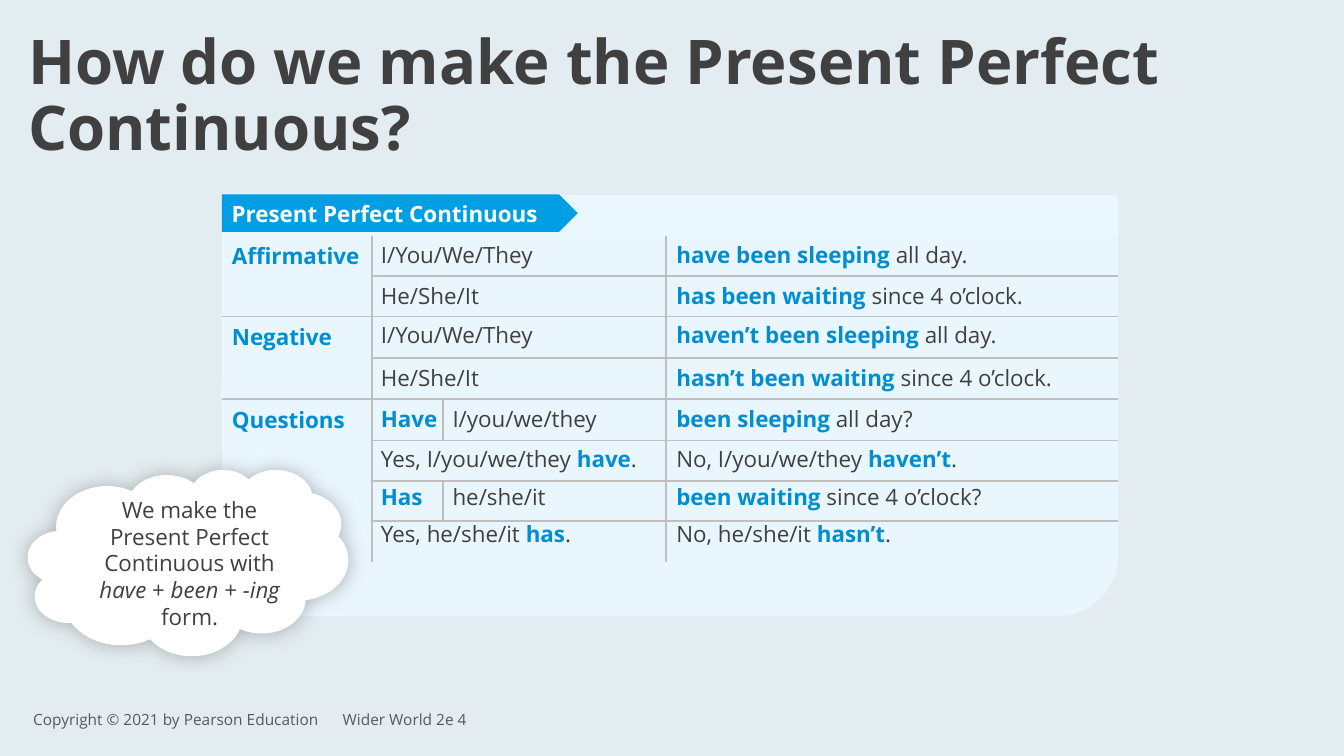
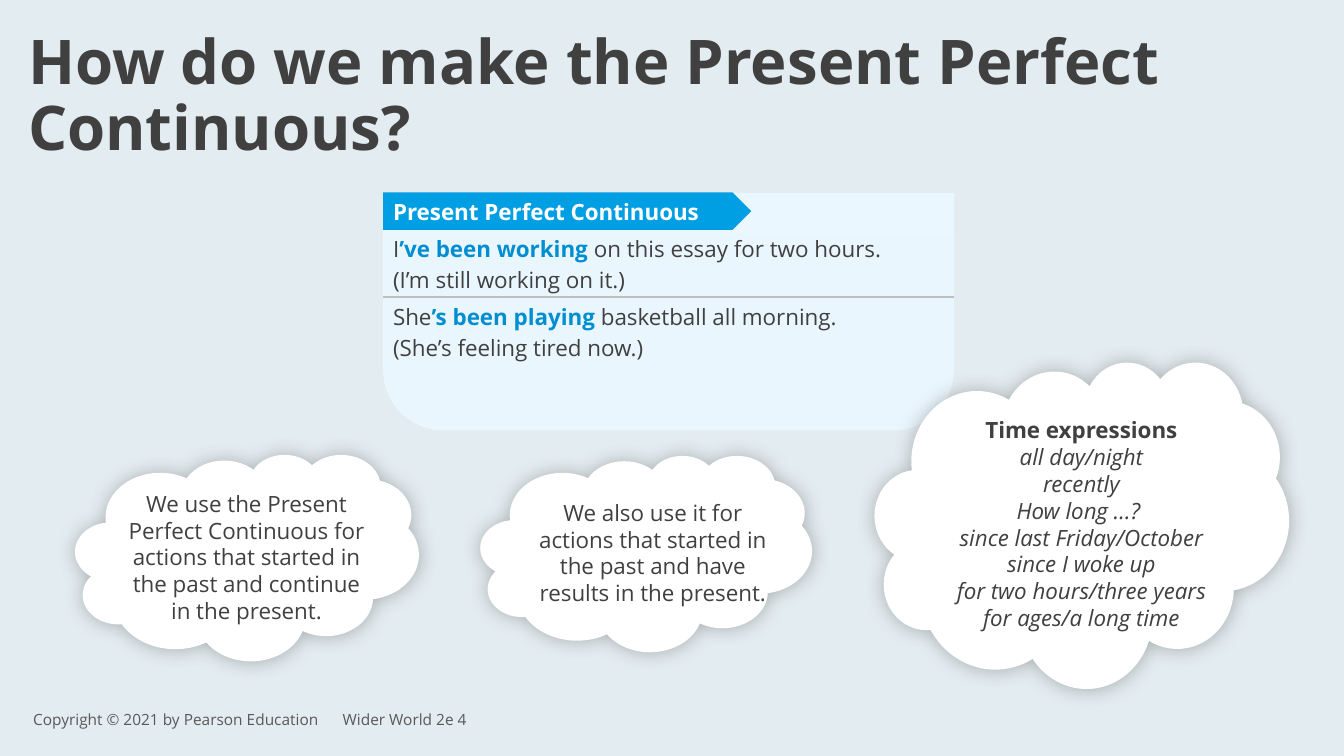
"""Two grammar slides on the Present Perfect Continuous."""
from lxml import etree
from pptx import Presentation
from pptx.dml.color import RGBColor
from pptx.enum import shapes, text
from pptx.oxml import ns
from pptx.util import Inches, Pt

FONT = "Open Sans"
BACK = RGBColor(0xE3, 0xEC, 0xF0)
PANEL = RGBColor(0xEA, 0xF6, 0xFE)
PANEL_TOP = RGBColor(0xEB, 0xF7, 0xFF)
BANNER = RGBColor(0x00, 0x9E, 0xE3)
BLUE = RGBColor(0x00, 0x8E, 0xD1)
DARK = RGBColor(0x40, 0x40, 0x40)
GREY = RGBColor(0x59, 0x59, 0x59)
RULE = RGBColor(0xBF, 0xBF, 0xBF)
WHITE = RGBColor(0xFF, 0xFF, 0xFF)

KEY = {"color": BLUE, "bold": True}
BOLD = {"bold": True}
ITALIC = {"italic": True}

TITLE = "How do we make the Present Perfect Continuous?"
TENSE = "Present Perfect Continuous"
FOOTER = "Copyright © 2021 by Pearson Education\tWider World 2e 4"

FORMS = [
    ("Affirmative", "I/You/We/They", None, [("have been sleeping ", KEY), "all day."]),
    (None, "He/She/It", None, [("has been waiting ", KEY), "since 4 o’clock."]),
    ("Negative", "I/You/We/They", None, [("haven’t been sleeping ", KEY), "all day."]),
    (None, "He/She/It", None, [("hasn’t been waiting ", KEY), "since 4 o’clock."]),
    ("Questions", [("Have", KEY)], "I/you/we/they", [("been sleeping ", KEY), "all day?"]),
    (None, ["Yes, I/you/we/they ", ("have", KEY), "."], None,
     ["No, I/you/we/they ", ("haven’t", KEY), "."]),
    (None, [("Has", KEY)], "he/she/it", [("been waiting ", KEY), "since 4 o’clock?"]),
    (None, ["Yes, he/she/it ", ("has", KEY), "."], None,
     ["No, he/she/it ", ("hasn’t", KEY), "."]),
]
FORM_COLS = [1.49, 0.7, 2.22, 4.48]
FORM_ROWS = [0.41, 0.4, 0.4, 0.41, 0.41, 0.41, 0.4, 0.4, 0.4]
FORM_TOPS = [2.34, 2.75, 3.14, 3.56, 3.97, 4.37, 4.74, 5.11]
FORM_LEFTS = [3.68, 4.39, 6.61]

USES = [
    (2.28, ["I", ("’ve been working ", KEY), "on this essay for two hours."]),
    (2.59, "(I’m still working on it.)"),
    (2.96, ["She", ("’s been playing ", KEY), "basketball all morning."]),
    (3.27, "(She’s feeling tired now.)"),
]
USE_ROWS = [0.41, 0.63, 0.63]

FORM_CLOUD = ((0.29, 4.67, 3.15, 1.82), (0.79, 4.87, 2.18, 1.45), [
    ["We make the Present Perfect Continuous with ", ("have ", ITALIC), "+ ",
     ("been ", ITALIC), "+ ", ("-ing ", ITALIC), "form."]])
TIMES = ["all day/night", "recently", "How long …? ", "since last Friday/October",
         "since I woke up", "for two hours/three years", "for ages/a long time"]
USE_CLOUDS = [
    ((8.69, 3.6, 4.08, 3.21), (8.82, 4.08, 3.81, 2.26),
     [[("Time expressions", BOLD)]] + [[(t, ITALIC)] for t in TIMES]),
    ((0.76, 4.52, 3.38, 2.02), (1.1, 4.81, 2.69, 1.45),
     ["We use the Present Perfect Continuous for actions that started in the past "
      "and continue in the present."]),
    ((4.78, 4.53, 3.26, 1.92), (5.13, 4.9, 2.69, 1.18),
     ["We also use it for actions that started in the past and have results in the present."]),
]


def write(tf, paras, size=16, color=DARK, bold=False, align=None, spacing=None, tab=None):
    """Fill a text frame; a paragraph is a string or a list of strings and (text, style)."""
    for i, para in enumerate(paras):
        p = tf.add_paragraph() if i else tf.paragraphs[0]
        if align is not None:
            p.alignment = align
        if spacing:
            p.line_spacing = spacing
        if tab:
            tabs = etree.SubElement(p._p.get_or_add_pPr(), ns.qn("a:tabLst"))
            etree.SubElement(tabs, ns.qn("a:tab"), pos=str(Inches(tab)), algn="l")
        for part in [para] if isinstance(para, str) else para:
            words, style = (part, {}) if isinstance(part, str) else part
            r = p.add_run()
            r.text = words
            r.font.name, r.font.size = FONT, Pt(size)
            r.font.color.rgb = style.get("color", color)
            r.font.bold = style.get("bold", bold)
            r.font.italic = style.get("italic", False)


def add_text(slide, box, paras, anchor=text.MSO_ANCHOR.TOP, **style):
    """Add a wrapping text box."""
    tf = slide.shapes.add_textbox(*map(Inches, box)).text_frame
    tf.word_wrap = True
    tf.vertical_anchor = anchor
    write(tf, paras, **style)


def add_shape(slide, kind, box, fill):
    """Add a flat preset shape without outline."""
    sp = slide.shapes.add_shape(kind, *map(Inches, box))
    sp.shadow.inherit = False
    sp.fill.solid()
    sp.fill.fore_color.rgb = fill
    sp.line.fill.background()
    return sp


def add_panel(slide, box):
    """Add a rounded panel that lies behind a table."""
    sp = add_shape(slide, shapes.MSO_SHAPE.ROUNDED_RECTANGLE, box, PANEL)
    sp.adjustments[0] = 0.48


def add_banner(slide, box):
    """Add the arrow-shaped heading of a table."""
    tf = add_shape(slide, shapes.MSO_SHAPE.PENTAGON, box, BANNER).text_frame
    tf.vertical_anchor = text.MSO_ANCHOR.MIDDLE
    write(tf, [TENSE], color=WHITE, bold=True, align=text.PP_ALIGN.LEFT)


def add_cloud(slide, box, text_box, paras):
    """Add a white cloud with a soft glow and its centred text."""
    sp = add_shape(slide, shapes.MSO_SHAPE.CLOUD, box, WHITE)
    sp.line.color.rgb, sp.line.width = WHITE, Pt(2)
    effects = sp._element.spPr.find(ns.qn("a:effectLst"))
    glow = etree.SubElement(effects, ns.qn("a:outerShdw"), blurRad=str(Pt(14)), dist="0",
                            dir="0", algn="ctr", rotWithShape="0")
    clr = etree.SubElement(glow, ns.qn("a:srgbClr"), val=str(GREY))
    etree.SubElement(clr, ns.qn("a:alpha"), val="41000")
    add_text(slide, text_box, paras, align=text.PP_ALIGN.CENTER)


def add_border(cell, side, shown):
    """Draw or clear one side of a cell."""
    ln = etree.SubElement(cell._tc.get_or_add_tcPr(), ns.qn("a:ln" + side), w=str(Pt(1.5)))
    if shown:
        fill = etree.SubElement(ln, ns.qn("a:solidFill"))
        etree.SubElement(fill, ns.qn("a:srgbClr"), val=str(RULE))
    else:
        etree.SubElement(ln, ns.qn("a:noFill"))


def add_grid(slide, left, top, cols, rows, right_rule, bottom_rule):
    """Add a table; the rule functions say which cell edges carry a line."""
    frame = slide.shapes.add_table(len(rows), len(cols), Inches(left), Inches(top),
                                   Inches(sum(cols)), Inches(sum(rows)))
    table = frame.table
    table.first_row = table.horz_banding = False
    for c, width in enumerate(cols):
        table.columns[c].width = Inches(width)
    for r, height in enumerate(rows):
        table.rows[r].height = Inches(height)
        for c in range(len(cols)):
            cell = table.cell(r, c)
            for side, shown in (("L", right_rule(r, c - 1)), ("R", right_rule(r, c)),
                                ("T", bottom_rule(r - 1, c)), ("B", bottom_rule(r, c))):
                add_border(cell, side, shown)
            cell.fill.solid()
            cell.fill.fore_color.rgb = PANEL if r else PANEL_TOP
    return table


def add_forms_grid(slide):
    """Add the table of affirmative, negative and question rows."""
    last = len(FORMS)
    starts = [r for r, form in enumerate(FORMS, 1) if form[0]]
    ends = [r - 1 for r in starts[1:]] + [last]

    def right_rule(r, c):
        return r > 0 and (c in (0, 2) or c == 1 and FORMS[r - 1][2] is not None)

    def bottom_rule(r, c):
        return 0 < r < last and (c > 0 or r in ends)

    table = add_grid(slide, 2.2, 1.93, FORM_COLS, FORM_ROWS, right_rule, bottom_rule)
    table.cell(0, 1).merge(table.cell(0, 2))
    for start, end in zip(starts, ends):
        table.cell(start, 0).merge(table.cell(end, 0))
        write(table.cell(start, 0).text_frame, [FORMS[start - 1][0]], **KEY)
    for r, form in enumerate(FORMS, 1):
        if form[2] is None:
            table.cell(r, 1).merge(table.cell(r, 2))


def add_form_texts(slide):
    """Lay the example forms over their table rows."""
    for top, (_, subject, pronoun, verb) in zip(FORM_TOPS, FORMS):
        widths = [0.9 if pronoun else 3.25, 3.25, 4.15]
        for left, width, part in zip(FORM_LEFTS, widths, (subject, pronoun, verb)):
            if part:
                add_text(slide, (left, top, width, 0.37), [part])


def new_slide(prs):
    """Add a slide with the shared background, title and footer."""
    slide = prs.slides.add_slide(prs.slide_layouts[6])
    slide.background.fill.solid()
    slide.background.fill.fore_color.rgb = BACK
    add_text(slide, (0.18, 0.26, 12.97, 0.87), [TITLE], size=44, bold=True, spacing=0.9)
    add_text(slide, (0.23, 6.94, 6.92, 0.4), [FOOTER], size=11, color=GREY, tab=3.07,
             anchor=text.MSO_ANCHOR.MIDDLE)
    return slide


def main():
    """Build and save the slides."""
    prs = Presentation()
    prs.slide_width, prs.slide_height = Inches(13.33), Inches(7.5)

    slide = new_slide(prs)
    add_panel(slide, (2.2, 4.86, 8.89, 1.25))
    add_panel(slide, (2.19, 3.27, 8.9, 1.25))
    add_forms_grid(slide)
    add_banner(slide, (2.2, 1.93, 3.53, 0.37))
    add_form_texts(slide)
    add_cloud(slide, *FORM_CLOUD)

    slide = new_slide(prs)
    add_panel(slide, (3.8, 3.02, 5.66, 1.25))
    add_grid(slide, 3.8, 1.91, [5.66], USE_ROWS, lambda r, c: False, lambda r, c: r == 1)
    add_banner(slide, (3.8, 1.91, 3.65, 0.37))
    for cloud in USE_CLOUDS:
        add_cloud(slide, *cloud)
    for top, sentence in USES:
        add_text(slide, (3.8, top, 8.01, 0.37), [sentence])

    prs.save("out.pptx")


if __name__ == "__main__":
    main()
